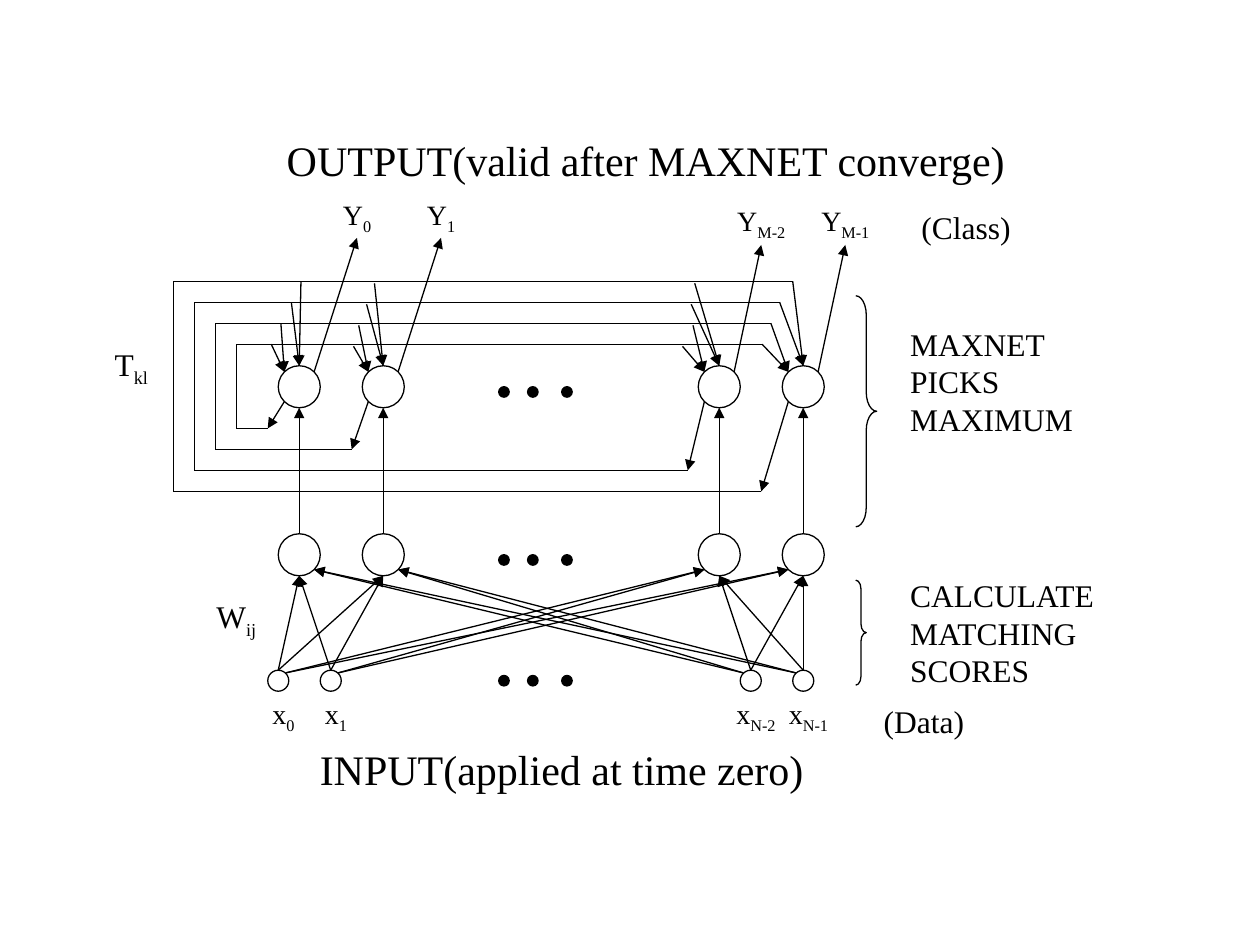
from dataclasses import dataclass

from lxml import etree
from pptx import Presentation
from pptx.dml.color import RGBColor
from pptx.enum import shapes, text
from pptx.oxml import ns
from pptx.util import Pt


@dataclass(frozen=True)
class Theme:
    ink: RGBColor = RGBColor(0, 0, 0)
    font: str = "Times New Roman"
    heading: int = 24
    label: int = 18
    node: int = 16
    line: float = 0.75


class Diagram:
    def __init__(self, slide, theme):
        self.slide = slide
        self.theme = theme

    def set_text(self, sp, content, size, sub="", align=text.PP_ALIGN.CENTER):
        tf = sp.text_frame
        tf.word_wrap = True
        tf.auto_size = text.MSO_AUTO_SIZE.NONE
        tf.vertical_anchor = text.MSO_ANCHOR.TOP
        p = tf.paragraphs[0]
        p.text = content
        p.alignment = align
        p.font.size = Pt(size)
        p.font.name = self.theme.font
        p.font.color.rgb = self.theme.ink
        if sub:
            r = p.add_run()
            r.text = sub
            r._r.get_or_add_rPr().set("baseline", "-25000")

    def title(self, content, x, y, w, h):
        sp = self.slide.shapes.title
        sp.left, sp.top, sp.width, sp.height = map(Pt, (x, y, w, h))
        self.set_text(sp, content, self.theme.heading)

    def label(self, content, x, y, w, h, size, **style):
        sp = self.slide.shapes.add_textbox(Pt(x), Pt(y), Pt(w), Pt(h))
        self.set_text(sp, content, size, **style)

    def shape(self, kind, x, y, w, h, filled=False):
        sp = self.slide.shapes.add_shape(kind, Pt(x), Pt(y), Pt(w), Pt(h))
        sp.shadow.inherit = False
        sp.line.color.rgb = self.theme.ink
        sp.line.width = Pt(self.theme.line)
        if filled:
            sp.fill.solid()
            sp.fill.fore_color.rgb = self.theme.ink
        else:
            sp.fill.background()
        return sp

    def circle(self, cx, cy, radius, filled=False):
        self.shape(shapes.MSO_SHAPE.OVAL, cx - radius, cy - radius,
                   2 * radius, 2 * radius, filled)

    def brace(self, x, y, w, h):
        sp = self.shape(shapes.MSO_SHAPE.RIGHT_BRACE, x, y, w, h)
        sp.adjustments[0] = h / 12 / w

    def line(self, x1, y1, x2, y2, arrow=False):
        s = self.slide.shapes.add_connector(
            shapes.MSO_CONNECTOR.STRAIGHT, Pt(x1), Pt(y1), Pt(x2), Pt(y2))
        s.line.color.rgb = self.theme.ink
        s.line.width = Pt(self.theme.line)
        if arrow:
            etree.SubElement(s.line._get_or_add_ln(), ns.qn("a:tailEnd"), type="triangle")
        etree.SubElement(s._element.spPr, ns.qn("a:effectLst"))


COLUMNS = (171, 219, 411, 459)
INPUTS = (159, 189, 429, 459)
MIDDLE = 315
MAXNET_Y, SCORE_Y, INPUT_Y = 221, 317, 389
RADIUS, INPUT_RADIUS = 12, 6
DIAGONAL = 8.5
STEP = 12
LOOP_TOP, LOOP_BOTTOM, LOOP_LEFT = 196.7, 244.8, 135
LOOP_ENDS = (153, 201, 393, 435)
FEEDBACK_STARTS = (
    (155, 160.5, 166.5, 172),
    (202, 205, 209.5, 214),
    (390, 396, 395, 397),
    (435.5, 440.5, 445.5, 453),
)
OUTPUTS = (("0", 183, 109.5, 42), ("1", 231, 109.5, 42),
           ("M-2", 411, 113, 48), ("M-1", 459, 113, 48))
INPUT_LABELS = (("0", 141), ("1", 171), ("N-2", 411), ("N-1", 441))


def draw_nodes(d):
    for x in INPUTS:
        d.circle(x, INPUT_Y, INPUT_RADIUS)
    for y in (MAXNET_Y, SCORE_Y):
        for x in COLUMNS:
            d.circle(x, y, RADIUS)
    for y in (MAXNET_Y + 3, SCORE_Y + 3, INPUT_Y):
        for x in (288, 304.5, 324):
            d.circle(x, y, 3, filled=True)


def draw_weights(d):
    for start in INPUTS:
        for end in COLUMNS:
            if (start < MIDDLE) == (end < MIDDLE):
                d.line(start, INPUT_Y - INPUT_RADIUS, end, SCORE_Y + RADIUS, arrow=True)
            else:
                side = 1 if start < end else -1
                d.line(start + 4.3 * side, INPUT_Y - 4.5,
                       end - DIAGONAL * side, SCORE_Y + DIAGONAL, arrow=True)


def draw_maxnet(d):
    for k, (x, end, starts) in enumerate(zip(COLUMNS, LOOP_ENDS, FEEDBACK_STARTS)):
        left, top, bottom = LOOP_LEFT - STEP * k, LOOP_TOP - STEP * k, LOOP_BOTTOM + STEP * k
        d.line(x, SCORE_Y - RADIUS, x, MAXNET_Y + RADIUS, arrow=True)
        d.line(end, bottom, left, bottom)
        d.line(left, top, left, bottom)
        d.line(FEEDBACK_STARTS[-1][k], top, left, top)
        d.line(x - DIAGONAL, MAXNET_Y + DIAGONAL, end, bottom, arrow=True)
        drop = 1.2 if k in (1, 2) else 0
        for i, start in enumerate(starts):
            target = (x - DIAGONAL, MAXNET_Y - DIAGONAL) if i < 2 else (x, MAXNET_Y - RADIUS)
            d.line(start, LOOP_TOP - STEP * i + drop, *target, arrow=True)
        tip = (x + 33, 136) if x < MIDDLE else (x + 24, 140)
        d.line(x + DIAGONAL, MAXNET_Y - DIAGONAL, *tip, arrow=True)


def draw_labels(d):
    t = d.theme
    d.title("OUTPUT(valid after MAXNET converge)", 153, 73.5, 432, 36)
    d.label("INPUT(applied at time zero)", 165, 421.5, 312, 36, t.heading)
    for sub, x, y, w in OUTPUTS:
        d.label("Y", x, y, w, 29.5, t.node, sub=sub)
    for sub, x in INPUT_LABELS:
        d.label("x", x, 394.5, 42, 29.5, t.node, sub=sub)
    d.label("T", 51, 193.5, 48, 32, t.label, sub="kl")
    d.label("W", 111, 337.5, 48, 32, t.label, sub="ij")
    d.label("(Class)", 513, 115.5, 78, 29, t.label)
    d.label("(Data)", 495, 397.5, 66, 29, t.label)
    left = text.PP_ALIGN.LEFT
    d.label("MAXNET\nPICKS\nMAXIMUM", 513, 182, 114, 72, t.label, align=left)
    d.label("CALCULATE\nMATCHING\nSCORES", 513, 325.5, 126, 72, t.label, align=left)
    d.brace(489, 169, 12, 132)
    d.brace(489, 331.5, 6, 60)


def main():
    prs = Presentation()
    prs.slide_width, prs.slide_height = Pt(720), Pt(540)
    d = Diagram(prs.slides.add_slide(prs.slide_layouts[5]), Theme())
    draw_nodes(d)
    draw_weights(d)
    draw_maxnet(d)
    draw_labels(d)
    prs.save("out.pptx")


if __name__ == "__main__":
    main()
